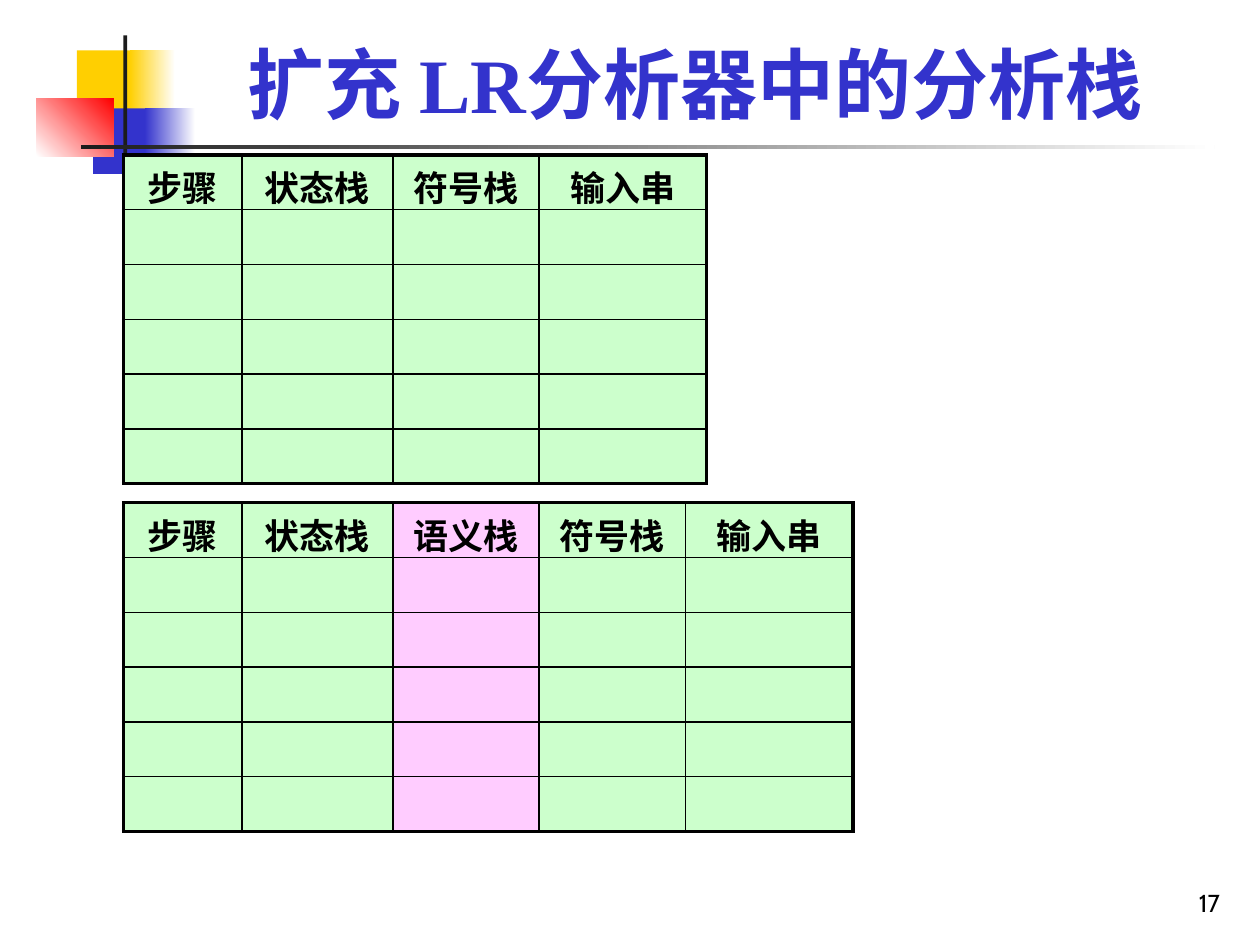
from lxml import etree
from pptx import Presentation
from pptx import util as u
from pptx.dml.color import RGBColor
from pptx.enum import shapes, text
from pptx.oxml import ns

PX = 9144  # EMU in one px, 100 px to the inch
BLACK, DARK, WHITE = "000000", "1C1C1C", "FFFFFF"
YELLOW, BLUE, RED = "FFCF01", "3333CC", "FF0000"
GREEN, PINK = "CCFFCC", "FFCCFF"
SERIF = "Times New Roman"
THIN, THICK = 1, 2.25
ROWS = 6


def px(length):
    return u.Emu(length * PX)


def color(value):
    return RGBColor.from_string(value)


def write(text_frame, words, size, font, ink, align, bold=False):
    text_frame.text = words
    paragraph = text_frame.paragraphs[0]
    paragraph.alignment = align
    for run in paragraph.runs:
        run.font.size = u.Pt(size)
        run.font.name = font
        run.font.bold = bold
        run.font.color.rgb = color(ink)


def add_text(slide, box, *style, **options):
    shape = slide.shapes.add_textbox(*map(px, box))
    shape.text_frame.word_wrap = True
    shape.text_frame.vertical_anchor = text.MSO_ANCHOR.BOTTOM
    write(shape.text_frame, *style, **options)


def add_block(slide, box, start, end=None, angle=0):
    shape = slide.shapes.add_shape(shapes.MSO_SHAPE.RECTANGLE, *map(px, box))
    shape.shadow.inherit = False
    shape.line.fill.background()
    if end is None:
        shape.fill.solid()
        shape.fill.fore_color.rgb = color(start)
        return
    shape.fill.gradient()
    shape.fill.gradient_angle = angle
    for stop, value in zip(shape.fill.gradient_stops, (start, end)):
        stop.color.rgb = color(value)


def add_ornament(slide, left, top):
    """Coloured blocks crossed by a vertical and a horizontal bar."""
    blocks = [
        ((32, 12, 48, 52), YELLOW),
        ((74, 12, 36, 52), YELLOW, WHITE),
        ((45, 58, 46, 52), BLUE),
        ((86, 58, 40, 52), BLUE, WHITE),
        ((0, 50, 61, 46), WHITE, RED, 45),
        ((69, 0, 3, 115), DARK),
        ((35, 87, 900, 3), DARK, WHITE),
    ]
    for (x, y, width, height), *fill in blocks:
        add_block(slide, (left + x, top + y, width, height), *fill)


def set_border(cell, side, width):
    line = etree.SubElement(cell._tc.get_or_add_tcPr(), ns.qn(f"a:ln{side}"),
                            w=str(u.Pt(width)))
    fill = etree.SubElement(line, ns.qn("a:solidFill"))
    etree.SubElement(fill, ns.qn("a:srgbClr"), val=BLACK)


def add_stack_table(slide, left, top, height, columns):
    """Ruled table with a heading row; columns are (heading, width, fill)."""
    width = sum(column[1] for column in columns)
    frame = slide.shapes.add_table(ROWS, len(columns), *map(px, (left, top, width, height)))
    table = frame.table
    table.first_row = table.horz_banding = False
    for row in table.rows:
        row.height = px(height) // ROWS
    for c, (heading, column_width, fill) in enumerate(columns):
        table.columns[c].width = px(column_width)
        write(table.cell(0, c).text_frame, heading, 20, SERIF, BLACK,
              text.PP_ALIGN.CENTER, bold=True)
        for r in range(ROWS):
            cell = table.cell(r, c)
            outer = {"L": c == 0, "R": c == len(columns) - 1,
                     "T": r == 0, "B": r == ROWS - 1}
            for side, is_outer in outer.items():
                set_border(cell, side, THICK if is_outer else THIN)
            cell.fill.solid()
            cell.fill.fore_color.rgb = color(fill)


def main():
    presentation = Presentation()
    presentation.slide_width, presentation.slide_height = px(1000), px(750)
    slide = presentation.slides.add_slide(presentation.slide_layouts[6])

    add_ornament(slide, 29, 28)

    # Page number and title
    add_text(slide, (770, 683, 208, 50), "17", 14, "Cabin", BLACK, text.PP_ALIGN.RIGHT)
    add_text(slide, (126, 23, 852, 84), "扩充 LR分析器中的分析栈", 44, SERIF, BLUE,
             text.PP_ALIGN.CENTER, bold=True)

    # Plain stack above, stack extended with a semantic column below
    plain = [("步骤", 94, GREEN), ("状态栈", 120, GREEN),
             ("符号栈", 116, GREEN), ("输入串", 133, GREEN)]
    extended = plain[:2] + [("语义栈", 116, PINK)] + plain[2:]
    add_stack_table(slide, 98, 123, 261, plain)
    add_stack_table(slide, 98, 399, 261, extended)

    presentation.save("out.pptx")


if __name__ == "__main__":
    main()
